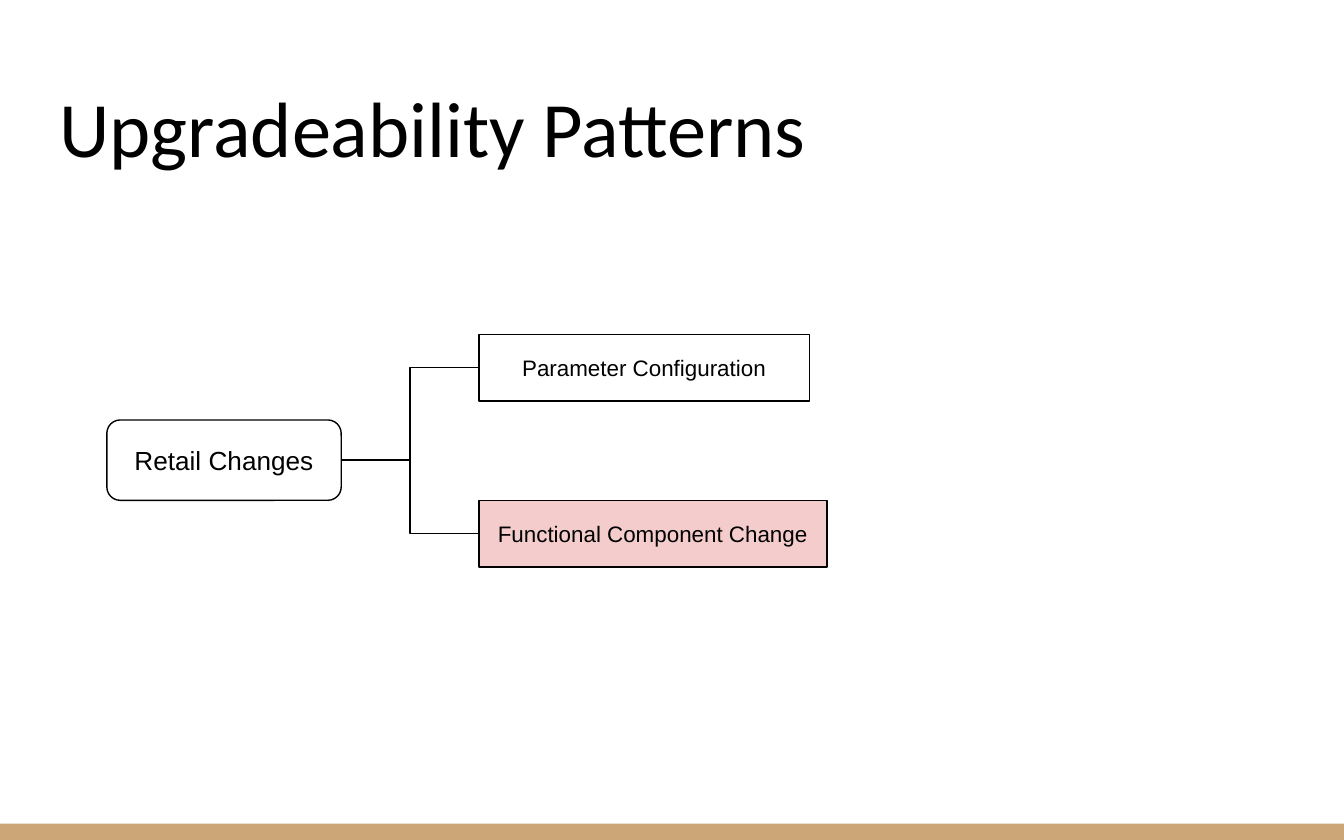
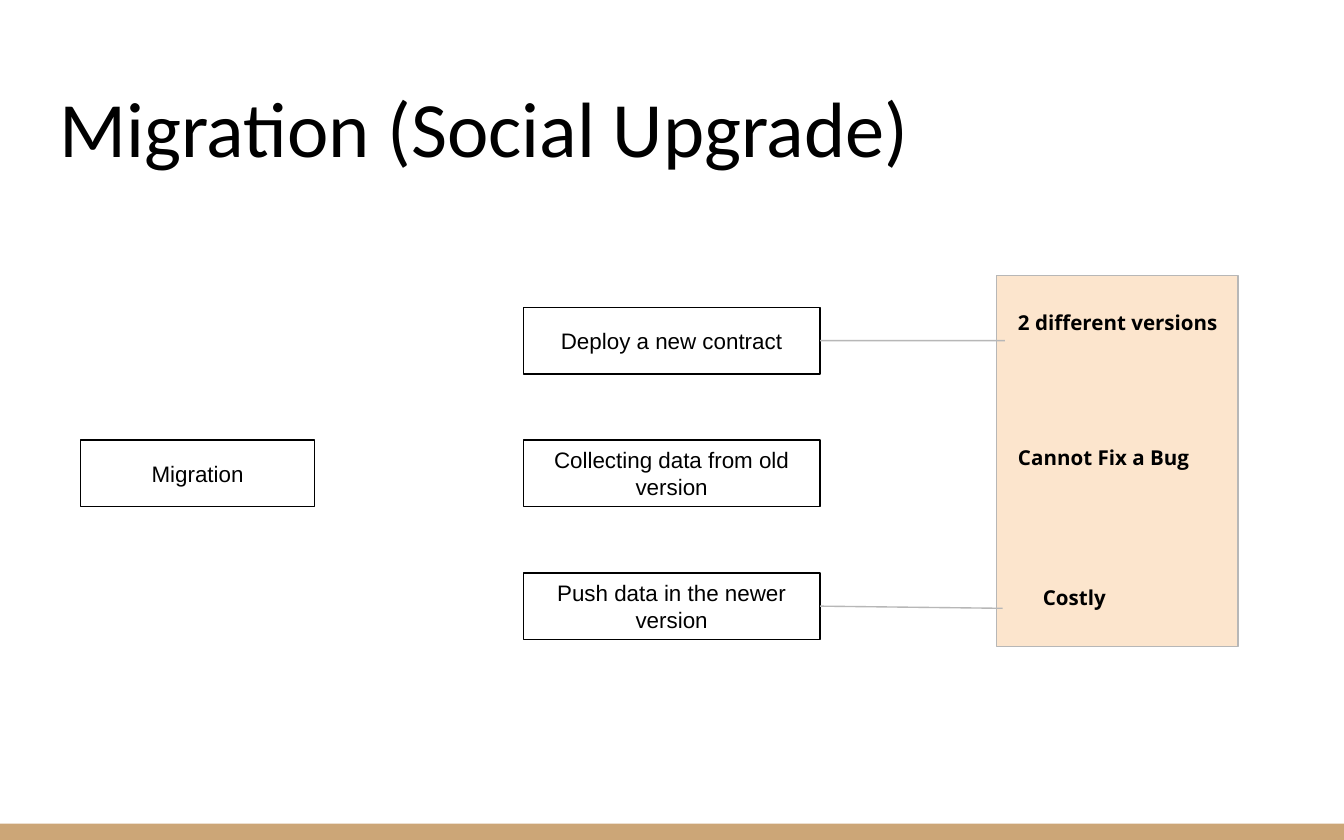
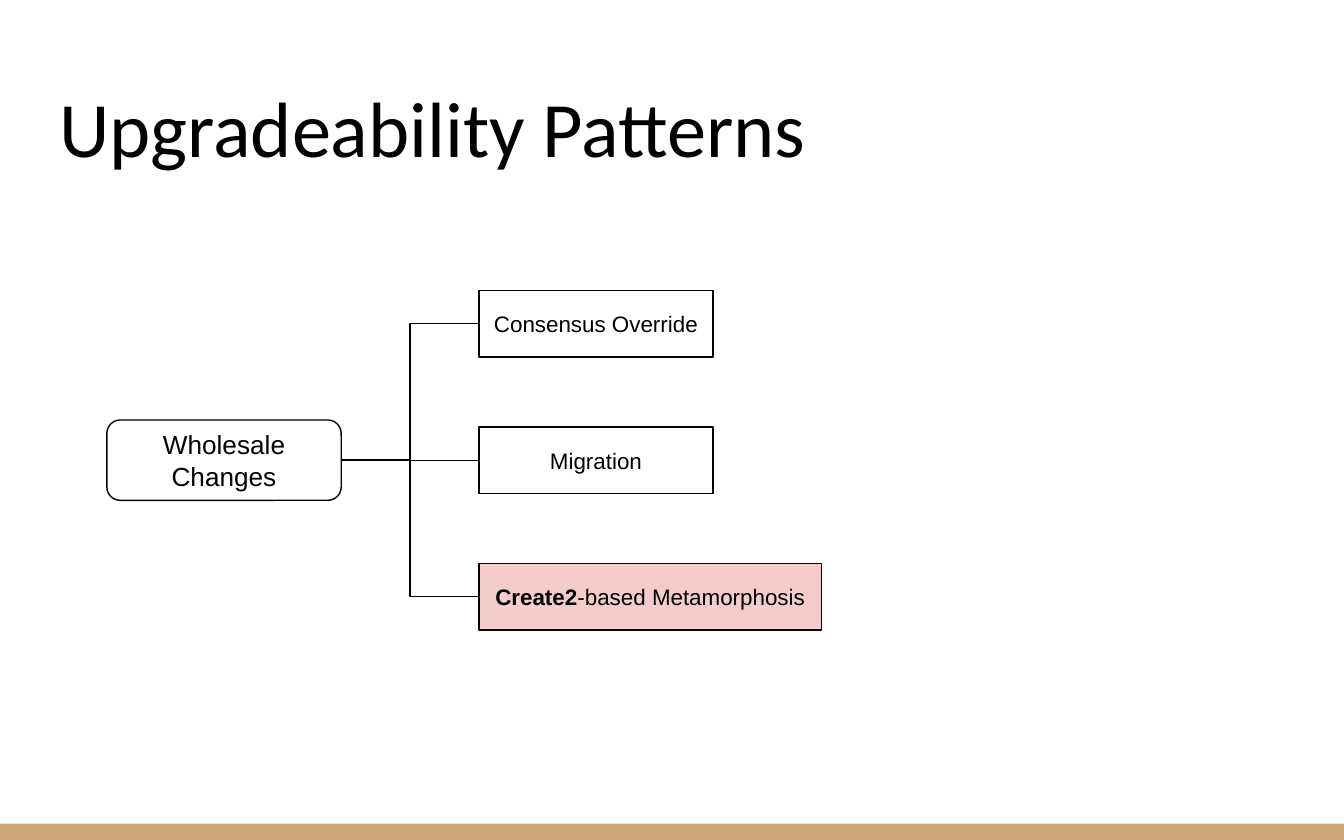
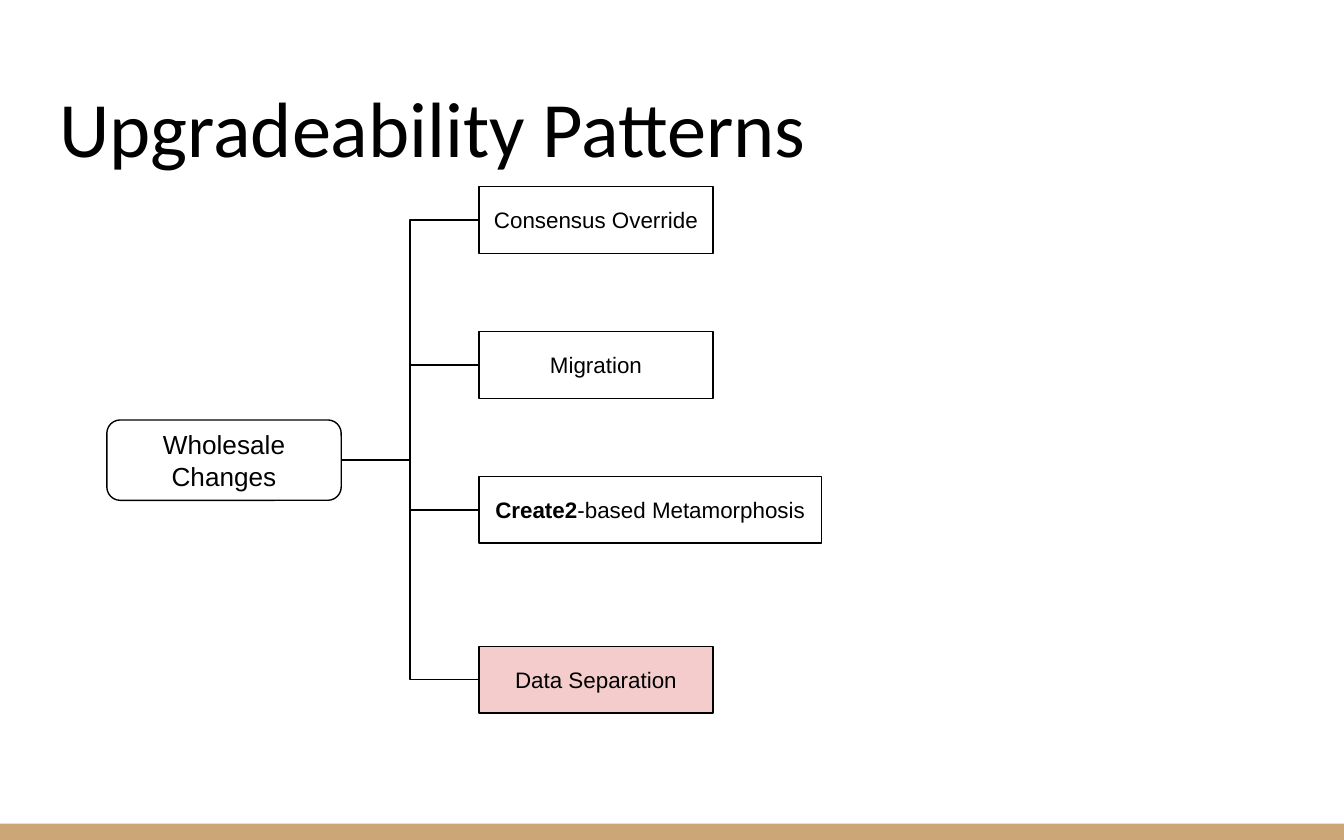
from lxml.etree import SubElement
from pptx import Presentation
from pptx.dml.color import RGBColor
from pptx.enum.shapes import MSO_CONNECTOR as CONN, MSO_SHAPE as SHAPE
from pptx.enum.text import MSO_ANCHOR as ANCHOR, MSO_AUTO_SIZE as AUTO, PP_ALIGN as ALIGN
from pptx.oxml.ns import qn
from pptx.util import Cm, Pt

COLORS = {"ink": "000000", "paper": "FFFFFF", "band": "CCA677",
          "accent": "F4CCCC", "panel": "FCE5CD", "gray": "B7B7B7"}
FRAME = {"word_wrap": True, "auto_size": AUTO.NONE,
         **{f"margin_{side}": Cm(0.25) for side in ("left", "top", "right", "bottom")}}
FONTS = {
    "title": {"name": "Calibri", "size": Pt(42), "bold": False},
    "root": {"name": "Arial", "size": Pt(14), "bold": False},
    "box": {"name": "Arial", "size": Pt(12), "bold": False},
    "note": {"name": "Open Sans", "size": Pt(11), "bold": True},
}
WIDTH, HEIGHT = 25.4, 15.88
BOX_W, BOX_H = 4.43, 1.26
BRANCH_X = 9.05
CREATE2 = [("Create2", True), ("-based Metamorphosis", False)]


def rgb(name):
    return RGBColor.from_string(COLORS[name])


def apply(target, values):
    for name, value in values.items():
        setattr(target, name, value)


class Deck:
    def __init__(self):
        self.prs = Presentation()
        apply(self.prs, {"slide_width": Cm(WIDTH), "slide_height": Cm(HEIGHT)})
        self.s = None

    def slide(self, title):
        self.s = self.prs.slides.add_slide(self.prs.slide_layouts[5])
        sp = self.s.shapes.title
        apply(sp, {"left": Cm(0.87), "top": Cm(0.97), "width": Cm(23.67), "height": Cm(2.56)})
        self.text(sp, title, "title", ANCHOR.BOTTOM, ALIGN.LEFT)
        self.shape(0, 15.57, WIDTH, HEIGHT - 15.57, "band", None)

    def text(self, sp, text, style, anchor, align, **frame):
        tf = sp.text_frame
        apply(tf, {**FRAME, "vertical_anchor": anchor, **frame})
        p = tf.paragraphs[0]
        p.alignment = align
        runs = [(text, FONTS[style]["bold"])] if isinstance(text, str) else text
        for words, bold in runs:
            r = p.add_run()
            r.text = words
            apply(r.font, {**FONTS[style], "bold": bold})
            r.font.color.rgb = rgb("ink")

    def stroke(self, line, color):
        line.color.rgb = rgb(color)
        line.width = Pt(0.75)

    def shape(self, x, y, w, h, fill="paper", line="ink", kind=SHAPE.RECTANGLE):
        sp = self.s.shapes.add_shape(kind, Cm(x), Cm(y), Cm(w), Cm(h))
        sp.shadow.inherit = False
        sp.fill.solid()
        sp.fill.fore_color.rgb = rgb(fill)
        if line:
            self.stroke(sp.line, line)
        else:
            sp.line.fill.background()
        return sp

    def box(self, text, x, y, w=BOX_W, h=BOX_H, style="box", **look):
        sp = self.shape(x, y, w, h, **look)
        self.text(sp, text, style, ANCHOR.MIDDLE, ALIGN.CENTER)
        return sp

    def note(self, text, x, y, w):
        sp = self.s.shapes.add_textbox(Cm(x), Cm(y), Cm(w), Cm(0.99))
        self.text(sp, text, "note", ANCHOR.TOP, ALIGN.LEFT, auto_size=AUTO.SHAPE_TO_FIT_TEXT)

    def connect(self, start, kind, color, end=None, x=0, y=0):
        c = self.s.shapes.add_connector(kind, 0, 0, Cm(x), Cm(y))
        c.begin_connect(start, 3)
        if end is not None:
            c.end_connect(end, 1)
        self.stroke(c.line, color)
        SubElement(c.element.spPr, qn("a:effectLst"))

    def tree(self, root, branches):
        self.slide("Upgradeability Patterns")
        start = self.box(root, 2.02, 7.94, h=1.52, style="root", kind=SHAPE.ROUNDED_RECTANGLE)
        for i, (text, y, w) in enumerate(branches, 1):
            fill = "accent" if i == len(branches) else "paper"
            end = self.box(text, BRANCH_X, y, w, fill=fill)
            self.connect(start, CONN.ELBOW, "ink", end)

    def migration(self):
        self.slide("Migration (Social Upgrade)")
        self.shape(18.83, 5.21, 4.57, 7.01, "panel", "gray")
        self.box("Migration", 1.52, 8.32)
        steps = [self.box(text, 9.89, 5.81 + i * 2.51, 5.61) for i, text in enumerate(
            ("Deploy a new contract", "Collecting data from old version",
             "Push data in the newer version"))]
        self.connect(steps[0], CONN.STRAIGHT, "gray", x=18.99, y=6.44)
        self.connect(steps[2], CONN.STRAIGHT, "gray", x=18.95, y=11.5)
        for text, x, y, w in (("2 different versions", 18.99, 5.63, 4.42),
                              ("Cannot Fix a Bug", 18.99, 8.18, 3.94),
                              ("Costly", 19.46, 10.82, 2.08)):
            self.note(text, x, y, w)


def main():
    deck = Deck()
    deck.tree("Retail Changes", [("Parameter Configuration", 6.32, 6.25),
                                 ("Functional Component Change", 9.46, 6.58)])
    deck.migration()
    patterns = [("Consensus Override", BOX_W), ("Migration", BOX_W), (CREATE2, 6.48)]
    for top, step, extra in ((5.49, 2.58, []),
                             (3.53, 2.74, [("Data Separation", 12.22, BOX_W)])):
        rows = [(text, top + i * step, w) for i, (text, w) in enumerate(patterns)]
        deck.tree("Wholesale Changes", rows + extra)
    deck.prs.save("out.pptx")


if __name__ == "__main__":
    main()
